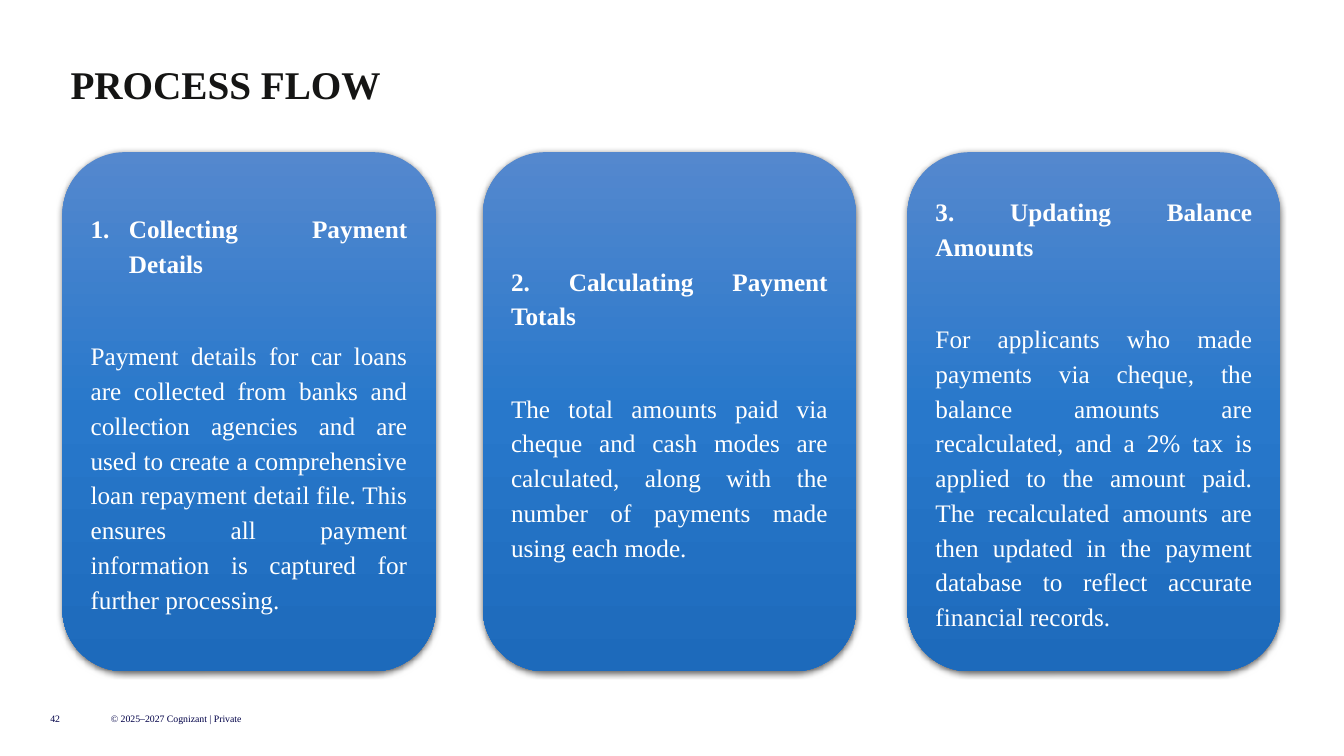
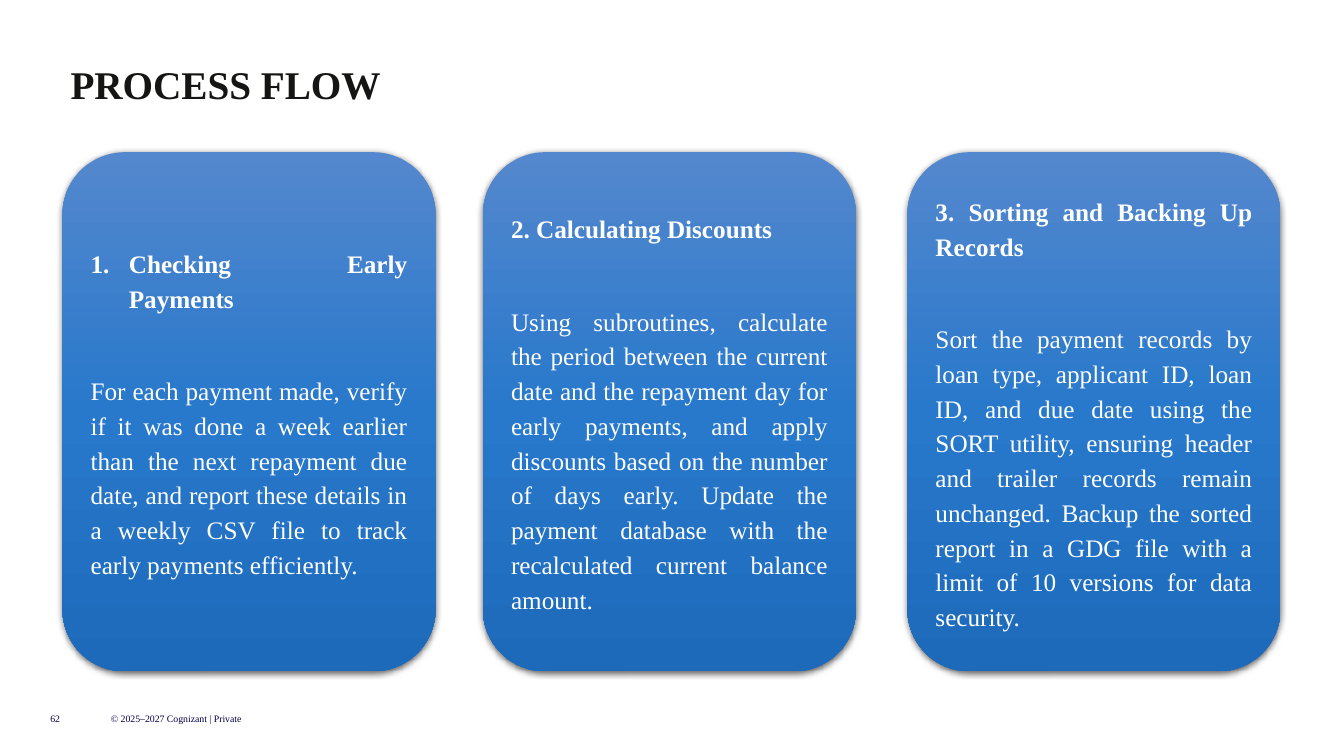
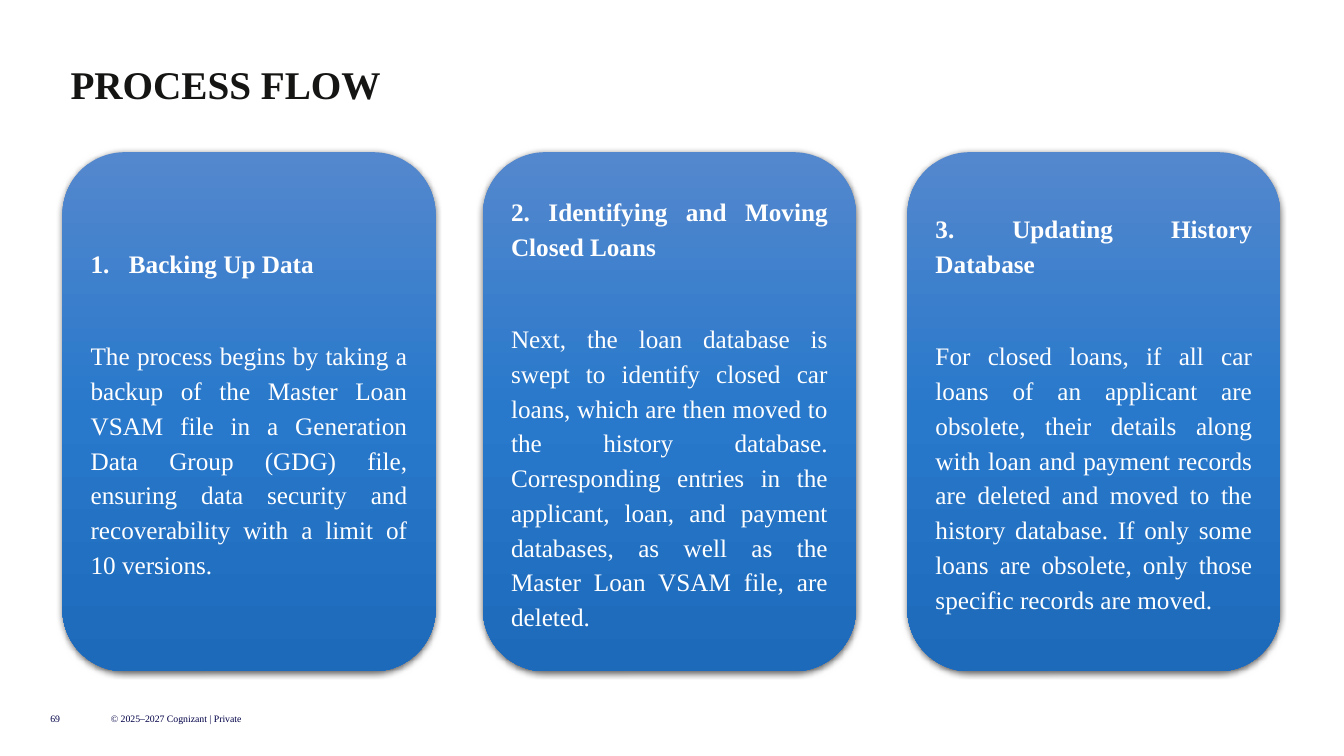
from lxml import etree
from pptx import Presentation
from pptx import util as u
from pptx.dml.color import RGBColor
from pptx.enum import shapes, text
from pptx.oxml import ns

FONT = "Times New Roman"
TITLE = "PROCESS FLOW"
COPYRIGHT = "© 2025–2027 Cognizant | Private"

INK = RGBColor(0x15, 0x15, 0x14)
NAVY = RGBColor(0x00, 0x00, 0x48)
WHITE = RGBColor(0xFF, 0xFF, 0xFF)
SHADOW = RGBColor(0x00, 0x00, 0x00)
GRADIENT = (
    (0, RGBColor(0x54, 0x88, 0xCE)),
    (50, RGBColor(0x28, 0x78, 0xCB)),
    (100, RGBColor(0x1D, 0x6A, 0xBB)),
)

# Page number, then heading and body of each step; the first step is auto-numbered.
PAGES = (
    ("42", (
        ("Collecting Payment Details",
         "Payment details for car loans are collected from banks and collection "
         "agencies and are used to create a comprehensive loan repayment detail file. "
         "This ensures all payment information is captured for further processing."),
        ("2. Calculating Payment Totals",
         "The total amounts paid via cheque and cash modes are calculated, along with "
         "the number of payments made using each mode."),
        ("3. Updating Balance Amounts",
         "For applicants who made payments via cheque, the balance amounts are "
         "recalculated, and a 2% tax is applied to the amount paid. The recalculated "
         "amounts are then updated in the payment database to reflect accurate "
         "financial records."),
    )),
    ("62", (
        ("Checking Early Payments",
         "For each payment made, verify if it was done a week earlier than the next "
         "repayment due date, and report these details in a weekly CSV file to track "
         "early payments efficiently."),
        ("2. Calculating Discounts",
         "Using subroutines, calculate the period between the current date and the "
         "repayment day for early payments, and apply discounts based on the number of "
         "days early. Update the payment database with the recalculated current "
         "balance amount."),
        ("3. Sorting and Backing Up Records",
         "Sort the payment records by loan type, applicant ID, loan ID, and due date "
         "using the SORT utility, ensuring header and trailer records remain "
         "unchanged. Backup the sorted report in a GDG file with a limit of 10 "
         "versions for data security."),
    )),
    ("69", (
        ("Backing Up Data",
         "The process begins by taking a backup of the Master Loan VSAM file in a "
         "Generation Data Group (GDG) file, ensuring data security and recoverability "
         "with a limit of 10 versions."),
        ("2. Identifying and Moving Closed Loans",
         "Next, the loan database is swept to identify closed car loans, which are "
         "then moved to the history database. Corresponding entries in the applicant, "
         "loan, and payment databases, as well as the Master Loan VSAM file, are "
         "deleted."),
        ("3. Updating History Database",
         "For closed loans, if all car loans of an applicant are obsolete, their "
         "details along with loan and payment records are deleted and moved to the "
         "history database. If only some loans are obsolete, only those specific "
         "records are moved."),
    )),
)

CARD_LEFTS = (0.62, 4.79, 9)
CARD_TOP, CARD_WIDTH, CARD_HEIGHT = 1.51, 3.7, 5.15
NUMBER_INDENT = 0.38
HEADING_GAP, BODY_GAP = 41, 8


def add_child(parent, tag, **attributes):
    return etree.SubElement(parent, ns.qn(tag), attributes)


def write(para, words, size, color, bold=False, spacing=None, after=None):
    para.alignment = text.PP_ALIGN.JUSTIFY
    if spacing:
        para.line_spacing = spacing
    if after is not None:
        para.space_after = u.Pt(after)
    span = para.add_run()
    span.text = words
    span.font.name, span.font.size, span.font.bold = FONT, u.Pt(size), bold
    span.font.color.rgb = color


def add_label(page, place, words, size, color, anchor, **style):
    box = page.shapes.add_textbox(*map(u.Inches, place))
    frame = box.text_frame
    frame.word_wrap = True
    frame.vertical_anchor = anchor
    frame.margin_left = frame.margin_right = frame.margin_top = frame.margin_bottom = 0
    write(frame.paragraphs[0], words, size, color, **style)


def paint_card(card):
    """Give the card its three-stop vertical gradient and soft shadow."""
    card.line.fill.background()
    card.shadow.inherit = False
    properties = card._element.spPr
    gradient = etree.Element(ns.qn("a:gradFill"), rotWithShape="1")
    stops = add_child(gradient, "a:gsLst")
    for percent, color in GRADIENT:
        stop = add_child(stops, "a:gs", pos=str(percent * 1000))
        add_child(stop, "a:srgbClr", val=str(color))
    add_child(gradient, "a:lin", ang="5400000", scaled="0")
    properties.find(ns.qn("a:ln")).addprevious(gradient)
    shadow = add_child(properties.find(ns.qn("a:effectLst")), "a:outerShdw",
                       blurRad=str(u.Pt(4.5)), dist=str(u.Pt(1.5)),
                       dir="5400000", algn="ctr", rotWithShape="0")
    shade = add_child(shadow, "a:srgbClr", val=str(SHADOW))
    add_child(shade, "a:alpha", val="63000")


def number_paragraph(para):
    properties = para._p.get_or_add_pPr()
    indent = u.Inches(NUMBER_INDENT)
    properties.set("marL", str(indent))
    properties.set("indent", str(-indent))
    add_child(properties, "a:buFont", typeface="+mj-lt")
    add_child(properties, "a:buAutoNum", type="arabicPeriod")


def add_card(page, left, heading, body, numbered):
    card = page.shapes.add_shape(
        shapes.MSO_SHAPE.ROUNDED_RECTANGLE,
        *map(u.Inches, (left, CARD_TOP, CARD_WIDTH, CARD_HEIGHT)))
    paint_card(card)
    frame = card.text_frame
    frame.word_wrap = True
    frame.vertical_anchor = text.MSO_ANCHOR.MIDDLE
    first = frame.paragraphs[0]
    if numbered:
        number_paragraph(first)
    write(first, heading, 18, WHITE, bold=True, spacing=1.15, after=HEADING_GAP)
    write(frame.add_paragraph(), body, 18, WHITE, spacing=1.15, after=BODY_GAP)


def add_page(deck, number, steps):
    page = deck.slides.add_slide(deck.slide_layouts[6])
    middle, top = text.MSO_ANCHOR.MIDDLE, text.MSO_ANCHOR.TOP
    add_label(page, (0.5, 7, 0.4, 0.25), number, 7, NAVY, middle)
    add_label(page, (1.1, 7, 1.94, 0.25), COPYRIGHT, 7, NAVY, middle)
    add_label(page, (0.7, 0.65, 12.44, 0.42), TITLE, 28, INK, top, bold=True, spacing=0.9)
    for column, (left, (heading, body)) in enumerate(zip(CARD_LEFTS, steps)):
        add_card(page, left, heading, body, numbered=column == 0)


def main():
    deck = Presentation()
    deck.slide_width, deck.slide_height = u.Inches(13.33), u.Inches(7.5)
    for number, steps in PAGES:
        add_page(deck, number, steps)
    deck.save("out.pptx")


if __name__ == "__main__":
    main()
